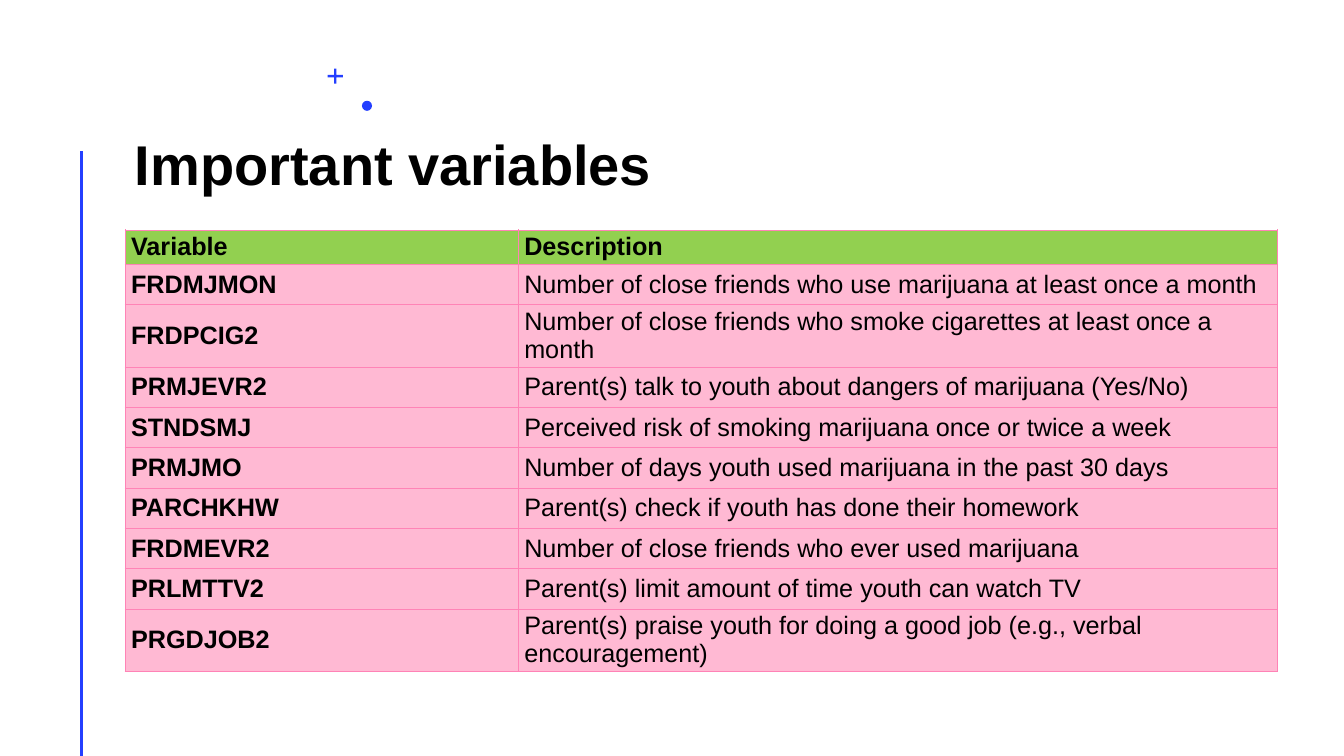
from dataclasses import dataclass

from lxml.etree import SubElement
from pptx import Presentation
from pptx.dml.color import RGBColor as Rgb
from pptx.enum.shapes import MSO_CONNECTOR as Conn, MSO_SHAPE as Kind
from pptx.enum.text import MSO_ANCHOR as Anchor
from pptx.oxml.ns import qn
from pptx.util import Inches, Pt


@dataclass(frozen=True)
class Theme:
    """Colours, font and type sizes of the slide."""
    ink: str = "000000"
    blue: str = "243FFF"
    green: str = "92D050"
    pink: str = "FFB9D3"
    edge: str = "FF83B6"
    font: str = "Arial"
    title: int = 40
    body: int = 18


THEME = Theme()
WIDE, HIGH = 13.33, 7.5
LEFT, TOP = 1.24, 2.28
COLS = (3.9, 7.53)
HEAD, ROW = 0.15, 0.4
PAD_X, PAD_Y = 0.06, 0.03

ROWS = (
    ("Variable", "Description"),
    ("FRDMJMON", "Number of close friends who use marijuana at least once a month"),
    ("FRDPCIG2", "Number of close friends who smoke cigarettes at least once a month"),
    ("PRMJEVR2", "Parent(s) talk to youth about dangers of marijuana (Yes/No)"),
    ("STNDSMJ", "Perceived risk of smoking marijuana once or twice a week"),
    ("PRMJMO", "Number of days youth used marijuana in the past 30 days"),
    ("PARCHKHW", "Parent(s) check if youth has done their homework"),
    ("FRDMEVR2", "Number of close friends who ever used marijuana"),
    ("PRLMTTV2", "Parent(s) limit amount of time youth can watch TV"),
    ("PRGDJOB2", "Parent(s) praise youth for doing a good job (e.g., verbal encouragement)"),
)


def add_run(para, text, size, bold):
    """Add one styled run to a paragraph."""
    run = para.add_run()
    run.text = text
    font = run.font
    font.name, font.size, font.bold = THEME.font, Pt(size), bold
    font.color.rgb = Rgb.from_string(THEME.ink)


def add_mark(slide, kind, left, top, size):
    """Add a small solid blue mark."""
    mark = slide.shapes.add_shape(kind, *map(Inches, (left, top, size, size)))
    mark.shadow.inherit = False
    mark.fill.solid()
    mark.fill.fore_color.rgb = Rgb.from_string(THEME.blue)
    mark.line.fill.background()
    return mark


def add_rule(slide, x, top, end):
    """Add the upright blue rule."""
    ends = map(Inches, (x, top, x, end))
    rule = slide.shapes.add_connector(Conn.STRAIGHT, *ends)
    rule.line.color.rgb = Rgb.from_string(THEME.blue)
    rule.line.width = Pt(2)
    SubElement(rule._element.spPr, qn("a:effectLst"))


def add_title(slide, text):
    """Add the slide title."""
    box = slide.shapes.add_textbox(*map(Inches, (LEFT, 1.24, WIDE / 2, 0.77)))
    box.text_frame.word_wrap = True
    add_run(box.text_frame.paragraphs[0], text, THEME.title, True)


def add_edges(cell):
    """Draw thin borders on all sides of a cell."""
    props = cell._tc.get_or_add_tcPr()
    for spot, side in enumerate(("lnL", "lnR", "lnT", "lnB")):
        line = SubElement(props, qn(f"a:{side}"), w=str(Pt(0.5)))
        fill = SubElement(line, qn("a:solidFill"))
        SubElement(fill, qn("a:srgbClr"), val=THEME.edge)
        props.insert(spot, line)


def fill_cell(cell, text, tint, bold):
    """Set the fill, edges, margins and text of a cell."""
    cell.fill.solid()
    cell.fill.fore_color.rgb = Rgb.from_string(tint)
    add_edges(cell)
    cell.margin_left = cell.margin_right = Inches(PAD_X)
    cell.margin_top = cell.margin_bottom = Inches(PAD_Y)
    cell.vertical_anchor = Anchor.MIDDLE
    add_run(cell.text_frame.paragraphs[0], text, THEME.body, bold)


def add_grid(slide, rows):
    """Add the table of variables."""
    high = HEAD + ROW * (len(rows) - 1)
    area = map(Inches, (LEFT, TOP, sum(COLS), high))
    grid = slide.shapes.add_table(len(rows), len(COLS), *area).table
    for col, wide in zip(grid.columns, COLS):
        col.width = Inches(wide)
    for r, row in enumerate(rows):
        grid.rows[r].height = Inches(ROW if r else HEAD)
        tint = THEME.pink if r else THEME.green
        for c, text in enumerate(row):
            fill_cell(grid.cell(r, c), text, tint, r == 0 or c == 0)


def main():
    """Build and save the slide."""
    deck = Presentation()
    deck.slide_width, deck.slide_height = Inches(WIDE), Inches(HIGH)
    slide = deck.slides.add_slide(deck.slide_layouts[6])
    add_mark(slide, Kind.OVAL, 3.59, 1, 0.1)
    plus = add_mark(slide, Kind.CROSS, 3.25, 0.68, 0.15)
    plus.adjustments[0] = 0.42
    add_rule(slide, 0.81, HIGH / 5, HIGH)
    add_grid(slide, ROWS)
    add_title(slide, "Important variables")
    deck.save("out.pptx")


if __name__ == "__main__":
    main()
